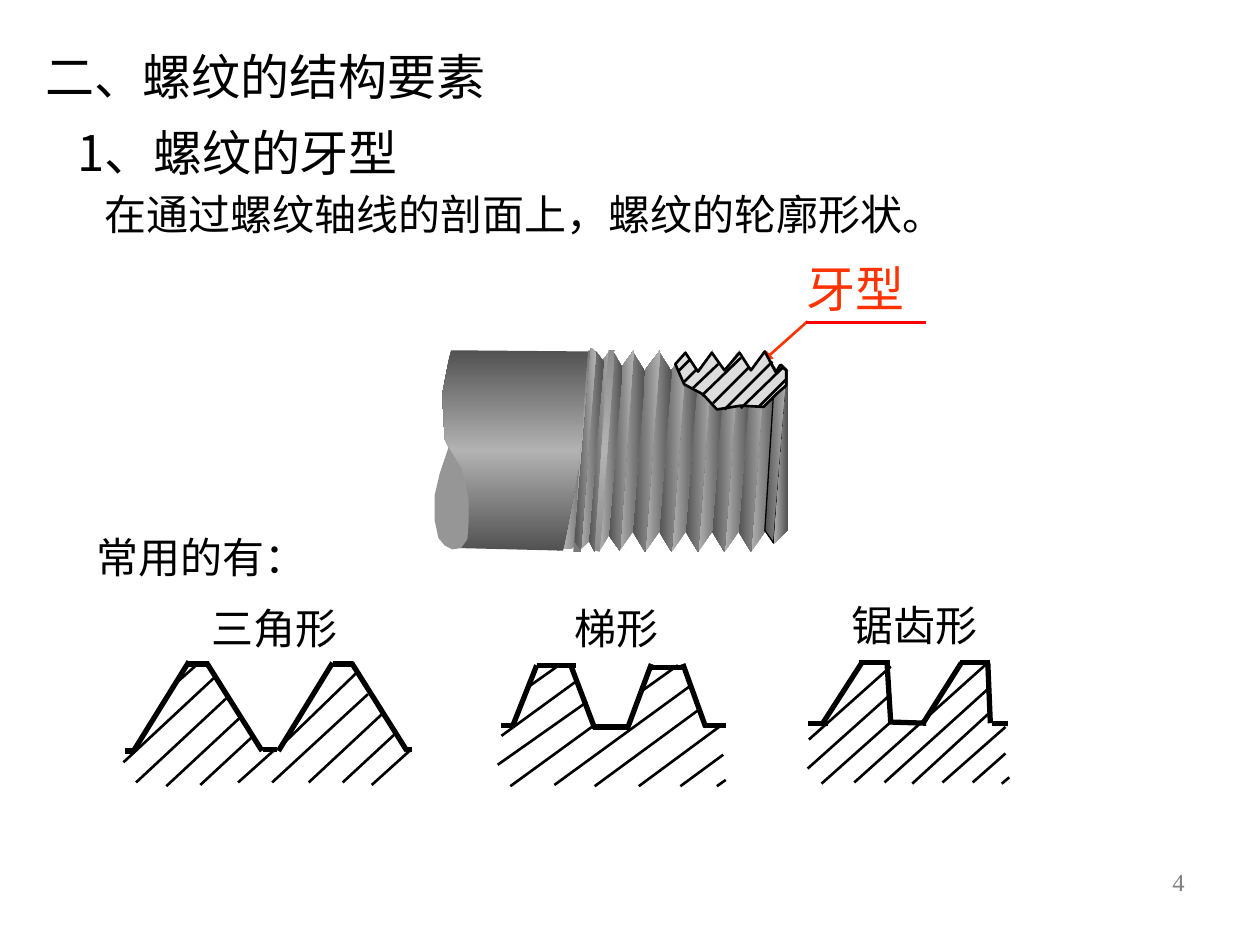
from copy import deepcopy
from dataclasses import dataclass

from lxml.etree import SubElement
from pptx import Presentation
from pptx.dml.color import RGBColor
from pptx.enum.shapes import MSO_CONNECTOR
from pptx.enum.text import MSO_ANCHOR, PP_ALIGN
from pptx.oxml.ns import qn
from pptx.util import Inches, Pt

# The slide is a grid of 1000 columns by 750 rows of square cells
COLS, ROWS = 1000, 750
CELL = Inches(10) // COLS
SANS, SERIF = "Noto Sans CJK SC", "Times New Roman"
BLACK, RED, CORAL, GREY = "000000", "FF0000", "FF3300", "808080"
PALE, DARK = "B2B2B2", "525252"
FALL, RISE = (PALE, DARK), (DARK, PALE)
THICK, THIN = 3, 1.5

Line = tuple[int, int, int, int]
Points = list[tuple[int, int]]


@dataclass
class Tooth:
    """A thread profile: its name, outline and hatching."""
    name: str
    box: Line
    edges: list[Line]
    hatch: list[Line]


@dataclass
class Facet:
    """A shaded face; two tones run across, three run down."""
    points: Points
    tones: tuple[str, ...]
    edge: float = 0


prs = Presentation()
prs.slide_width, prs.slide_height = COLS * CELL, ROWS * CELL
slide = prs.slides.add_slide(prs.slide_layouts[6])
shapes = slide.shapes


def rgb(code: str) -> RGBColor:
    return RGBColor.from_string(code)


def write(text: str, box: Line, size: int = 24, font: str = SERIF,
          color: str = BLACK, align=PP_ALIGN.LEFT,
          anchor=MSO_ANCHOR.MIDDLE, wrap: bool = True, inset: int = 10):
    frame = shapes.add_textbox(*(v * CELL for v in box)).text_frame
    frame.word_wrap, frame.vertical_anchor = wrap, anchor
    frame.margin_left = inset * CELL
    para = frame.paragraphs[0]
    para.alignment = align
    run = para.add_run()
    run.text = text
    run.font.size, run.font.name = Pt(size), font
    run.font.color.rgb = rgb(color)
    SubElement(run._r.get_or_add_rPr(), qn("a:ea")).set("typeface", SANS)


def stroke(line: Line, width: float = THIN, color: str = BLACK,
           arrow: bool = False):
    link = shapes.add_connector(MSO_CONNECTOR.STRAIGHT,
                                *(v * CELL for v in line))
    link.line.width, link.line.color.rgb = Pt(width), rgb(color)
    if arrow:
        SubElement(link.line._get_or_add_ln(), qn("a:headEnd")).set("type", "triangle")
    SubElement(link._element.spPr, qn("a:effectLst"))


def face(facet: Facet):
    path = shapes.build_freeform(*facet.points[0], scale=CELL)
    path.add_line_segments(facet.points[1:], close=True)
    shape = path.convert_to_shape()
    shape.shadow.inherit = False
    tones, fill = facet.tones, shape.fill
    if len(tones) == 1:
        fill.solid()
        fill.fore_color.rgb = rgb(tones[0])
    else:
        fill.gradient()
        fill.gradient_angle = 0 if len(tones) == 2 else 90
        stops = shape._element.spPr.find(qn("a:gradFill")).find(qn("a:gsLst"))
        if len(tones) == 3:
            stops.append(deepcopy(stops[-1]))
        for i, (stop, tone) in enumerate(zip(fill.gradient_stops, tones)):
            stop.position = i / (len(tones) - 1)
            stop.color.rgb = rgb(tone)
    if facet.edge:
        shape.line.width, shape.line.color.rgb = Pt(facet.edge), rgb(BLACK)
    else:
        shape.line.fill.background()


def crest(x: int) -> Facet:
    return Facet([(x - 1, 279), (x + 9, 295), (x - 1, 422), (x - 12, 438)], FALL)


def flank(x: int) -> Facet:
    return Facet([(x - 12, 438), (x, 278), (x - 13, 295), (x - 22, 422)], RISE)


# Headings and page number
write("4", (717, 683, 233, 52), size=14, color=GREY, align=PP_ALIGN.RIGHT,
      anchor=MSO_ANCHOR.TOP)
write("二、螺纹的结构要素", (26, 32, 678, 57), size=28, font=SANS)
write("1、螺纹的牙型", (15, 92, 347, 57), size=28, font=SANS, align=PP_ALIGN.CENTER)
write("在通过螺纹轴线的剖面上，螺纹的轮廓形状。", (43, 145, 862, 50), font=SANS, inset=40)
write("常用的有：", (67, 416, 189, 51), wrap=False)

# The three common profiles
TEETH = [
    Tooth("三角形", (144, 473, 148, 51),
          [(106, 596, 150, 525), (164, 526, 208, 596), (221, 596, 264, 526),
           (279, 526, 323, 596), (148, 527, 166, 527), (264, 527, 280, 527),
           (209, 595, 220, 595), (322, 595, 327, 595), (106, 596, 99, 596)],
          [(108, 621, 181, 553), (98, 605, 171, 537), (140, 542, 158, 526),
           (132, 624, 190, 570), (159, 623, 200, 585), (189, 621, 218, 595),
           (222, 593, 284, 533), (216, 621, 292, 551), (245, 621, 303, 567),
           (272, 621, 313, 583), (295, 623, 325, 596)]),
    Tooth("梯形", (431, 473, 116, 51),
          [(426, 528, 457, 528), (407, 576, 426, 528), (453, 528, 472, 578),
           (471, 577, 499, 577), (498, 578, 517, 527), (516, 530, 544, 530),
           (542, 527, 560, 577), (559, 576, 576, 576), (408, 576, 398, 576)],
          [(395, 607, 466, 557), (398, 584, 457, 541), (421, 544, 445, 527),
           (405, 624, 471, 576), (440, 623, 547, 545), (510, 548, 538, 528),
           (472, 624, 555, 563), (507, 624, 572, 576), (540, 624, 574, 599),
           (569, 624, 576, 619)]),
    Tooth("锯齿形", (649, 470, 154, 51),
          [(704, 526, 707, 574), (706, 526, 682, 526), (684, 526, 653, 574),
           (784, 526, 786, 574), (786, 526, 762, 526), (763, 526, 732, 575),
           (705, 573, 735, 574), (787, 574, 800, 574), (657, 574, 641, 574)],
          [(641, 610, 707, 551), (642, 587, 707, 529), (652, 622, 707, 573),
           (678, 621, 784, 526), (702, 621, 785, 546), (724, 622, 785, 566),
           (748, 621, 798, 577), (772, 621, 798, 598), (795, 622, 801, 617)]),
]
for tooth in TEETH:
    for edge in tooth.edges:
        stroke(edge, THICK)
    for cut in tooth.hatch:
        stroke(cut)
    write(tooth.name, tooth.box, align=PP_ALIGN.CENTER)

# Callout
stroke((605, 287, 641, 255), color=CORAL, arrow=True)
write("牙型", (624, 200, 110, 57), size=28, color=CORAL, align=PP_ALIGN.CENTER)
stroke((640, 256, 735, 256), color=RED)

# Regular thread turns, from the tip towards the shank
PITCH = 21
for turn in range(6):
    x = 608 - turn * PITCH
    face(crest(x))
    if turn < 5:
        face(flank(x))

# Thread run-out, shank, tip, cut section and broken end
SOLID = [
    Facet([(492, 437), (503, 278), (493, 292), (483, 425)], RISE),
    Facet([(486, 278), (494, 292), (483, 425), (476, 437)], FALL),
    Facet([(485, 278), (478, 286), (467, 429), (472, 438)], RISE),
    Facet([(483, 278), (488, 278), (476, 438), (472, 437)], ("8E8E8E", PALE, "8E8E8E")),
    Facet([(479, 287), (473, 279), (460, 437), (467, 430)], FALL),
    Facet([(458, 430), (454, 435), (447, 436), (469, 277)], FALL),
    Facet([(443, 437), (438, 433), (456, 334)], ("696969", PALE)),
    Facet([(474, 279), (358, 278), (356, 287), (351, 313), (353, 348), (363, 368),
           (370, 395), (369, 422), (362, 431), (365, 435), (447, 437), (461, 362)],
          (DARK, PALE, DARK)),
    Facet([(607, 421), (614, 431), (625, 294), (620, 289), (615, 295)], RISE, 0.75),
    Facet([(614, 432), (625, 421), (625, 294)], FALL),
    Facet([(472, 279), (461, 438), (455, 438), (467, 278)], ("797979", PALE, "797979")),
    Facet([(473, 280), (469, 276), (456, 430), (461, 436)], RISE),
    Facet([(544, 280), (554, 295), (565, 280), (575, 294), (587, 280), (596, 294),
           (607, 279), (616, 296), (619, 290), (624, 294), (624, 306), (616, 313),
           (606, 323), (588, 322), (569, 325), (558, 313), (543, 305), (536, 289)],
          ("DDDDDD",), THIN),
    Facet([(356, 355), (367, 373), (372, 396), (372, 413), (371, 428), (366, 435),
           (359, 436), (353, 433), (348, 427), (345, 413), (345, 393), (349, 376)],
          ("969696",)),
]
for facet in SOLID:
    face(facet)

# Hatching of the cut section
for cut in [(539, 294, 548, 285), (543, 303, 553, 293), (550, 308, 570, 289),
            (557, 314, 588, 284), (566, 320, 595, 291), (575, 325, 613, 287),
            (588, 324, 621, 292), (602, 323, 624, 301)]:
    stroke(cut)

prs.save("out.pptx")
